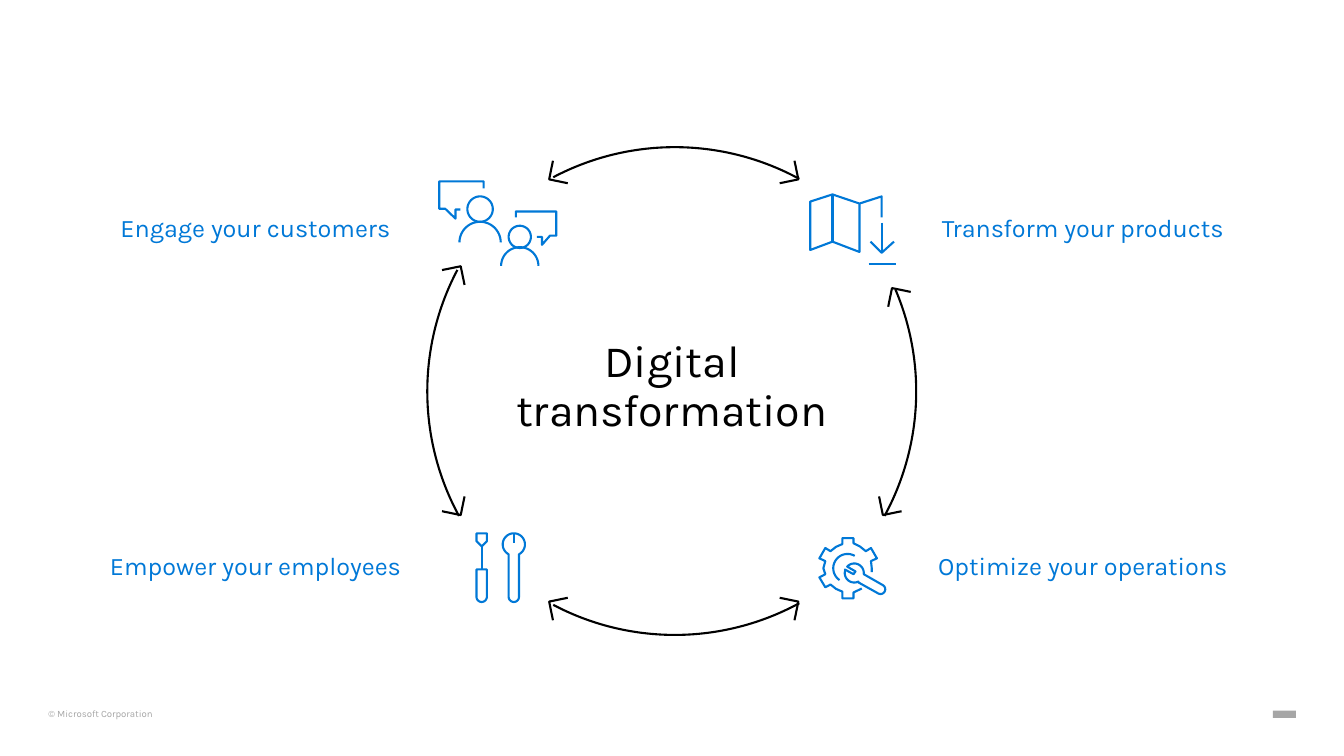
from dataclasses import dataclass
from itertools import chain
from math import cos, radians, sin

from pptx import Presentation
from pptx.dml.color import RGBColor
from pptx.enum.shapes import MSO_SHAPE as Preset
from pptx.enum.text import MSO_ANCHOR as Anchor, MSO_AUTO_SIZE as AutoSize, PP_ALIGN as Align
from pptx.util import Cm, Pt

COLORS = {"black": "000000", "blue": "0078D7", "gray": "A6A6A6"}
FONT = "Karla"
CIRCLE_SIZE = 13.13
WING_LENGTH = 0.48

Point = tuple[float, float]


@dataclass
class Label:
    text: str
    left: float
    top: float


@dataclass
class Head:
    x: float
    y: float
    heading: float


@dataclass
class Arrow:
    left: float
    top: float
    start: float
    end: float
    heads: tuple[Head, Head]


@dataclass
class Stroke:
    points: list[Point]
    closed: bool = False


@dataclass
class Icon:
    left: float
    top: float
    strokes: list[Stroke]


def arc(x: float, y: float, radius: float, start: float, end: float) -> list[Point]:
    """Points along a circle, with angles in degrees clockwise from the right."""
    steps = max(8, round(abs(end - start) / 6))
    angles = [radians(start + (end - start) * step / steps) for step in range(steps + 1)]
    return [(x + radius * cos(angle), y + radius * sin(angle)) for angle in angles]


def person(x: float, head_y: float, head: float, body_y: float, body: float) -> list[Stroke]:
    return [Stroke(arc(x, head_y, head, 0, 360), True),
            Stroke(arc(x, body_y, body, 180, 360))]


LABELS = [
    Label("Engage your customers", 1.83, 5.03),
    Label("Empower your employees", 1.83, 13.54),
    Label("Optimize your operations", 22.68, 13.54),
    Label("Transform your products", 22.68, 5.03),
]

ARROWS = [
    Arrow(10.44, 3.71, 242.2, 298.56, (Head(20.12, 4.52, 33.4), Head(13.84, 4.52, 146.6))),
    Arrow(10.44, 2.87, 61.44, 117.8, (Head(20.12, 15.16, -33.4), Head(13.84, 15.16, 213.4))),
    Arrow(9.96, 3.3, 336.98, 28.56, (Head(22.25, 12.98, 123.4), Head(22.48, 7.26, 236.6))),
    Arrow(10.77, 3.3, 151.44, 207.8, (Head(11.61, 12.98, 56.6), Head(11.61, 6.71, -56.6))),
]

# Icon points are in tenths of a millimetre from the icon's corner.
TOOLS = Icon(12.01, 13.44, [
    Stroke(arc(94, 28, 28, 118, 422) + arc(94, 160, 13, 0, 180), True),
    Stroke([(94, 0), (94, 25)]),
    Stroke([(0, 91), (26, 91)] + arc(13, 160, 13, 0, 180), True),
    Stroke([(0, 0), (26, 0), (26, 20), (13, 33), (0, 20)], True),
    Stroke([(13, 33), (13, 91)]),
])
GEAR = Icon(20.65, 13.56, [
    Stroke([(107, 127), (86, 137), (86, 152), (58, 152), (58, 135), (42, 128), (28, 117),
            (15, 124), (0, 99), (15, 91), (10, 76), (15, 58), (0, 51), (15, 25), (28, 33),
            (42, 22), (58, 15), (58, 0), (86, 0), (86, 13), (102, 21), (117, 33),
            (130, 25), (145, 51), (130, 58), (132, 76), (132, 86)]),
    Stroke(arc(71, 76, 36, -60, -236)),
    Stroke([(99, 112)] + arc(154, 129, 12, 122, -58) + arc(88, 88, 24, 7, -138)
           + [(91, 84), (86, 91), (64, 79)] + arc(88, 88, 24, 200, 65), True),
])
RIGHT_PERSON = Icon(12.62, 5.33, [
    Stroke([(38, 15), (38, 0), (140, 0), (140, 61), (124, 61), (104, 84), (104, 64), (91, 64)]),
    *person(48, 64, 28, 137, 47),
])
LEFT_PERSON = Icon(11.07, 4.57, [
    Stroke([(112, 18), (112, 0), (0, 0), (0, 69), (15, 69), (41, 94), (41, 71), (53, 71)]),
    *person(103, 70, 32, 154, 52),
])
MAP = Icon(20.42, 4.9, [
    Stroke([(56, 0), (56, 119)]),
    Stroke([(180, 71), (180, 142)]),
    Stroke([(152, 119), (180, 147), (211, 119)]),
    Stroke([(180, 58), (180, 5), (124, 23), (56, 0), (0, 18), (0, 140), (56, 119),
            (124, 145), (124, 23)]),
    Stroke([(147, 175), (216, 175)]),
])


def rgb(color: str) -> RGBColor:
    return RGBColor.from_string(COLORS[color])


def outline(shape, color: str) -> None:
    shape.shadow.inherit = False
    shape.fill.background()
    shape.line.color.rgb = rgb(color)
    shape.line.width = Pt(1.5)


def draw_strokes(slide, strokes: list[Stroke], color: str) -> None:
    """Draw strokes given in centimetres as one unfilled outline."""
    builder = None
    for stroke in strokes:
        first, *rest = [(Cm(x), Cm(y)) for x, y in stroke.points]
        if builder is None:
            builder = slide.shapes.build_freeform(*first)
        else:
            builder.move_to(*first)
        builder.add_line_segments(rest, close=stroke.closed)
    outline(builder.convert_to_shape(), color)


def draw_icon(slide, icon: Icon) -> None:
    strokes = [Stroke([(icon.left + x / 100, icon.top + y / 100) for x, y in stroke.points],
                      stroke.closed) for stroke in icon.strokes]
    draw_strokes(slide, strokes, "blue")


def draw_head(slide, head: Head) -> None:
    wings = [(head.x + WING_LENGTH * cos(radians(head.heading + turn)),
              head.y + WING_LENGTH * sin(radians(head.heading + turn))) for turn in (135, 225)]
    draw_strokes(slide, [Stroke([wings[0], (head.x, head.y), wings[1]])], "black")


def draw_arrow(slide, arrow: Arrow) -> None:
    curve = slide.shapes.add_shape(Preset.ARC, Cm(arrow.left), Cm(arrow.top),
                                   Cm(CIRCLE_SIZE), Cm(CIRCLE_SIZE))
    # An adjustment of 0.6 is one degree.
    curve.adjustments[0] = arrow.start * 0.6
    curve.adjustments[1] = arrow.end * 0.6
    outline(curve, "black")
    for head in arrow.heads:
        draw_head(slide, head)


def write(box, text: str, size: float, color: str, align: Align = Align.CENTER,
          insets: Point = (0, 0), wrap: bool = True) -> None:
    frame = box.text_frame
    frame.text = text
    frame.word_wrap = wrap
    frame.auto_size = AutoSize.NONE
    frame.vertical_anchor = Anchor.MIDDLE if wrap else Anchor.TOP
    frame.margin_left = frame.margin_right = Cm(insets[0])
    frame.margin_top = frame.margin_bottom = Cm(insets[1])
    para = frame.paragraphs[0]
    para.alignment = align
    para.line_spacing = 0.9
    for span in para.runs:
        span.font.name = FONT
        span.font.size = Pt(size)
        span.font.color.rgb = rgb(color)


def main() -> None:
    deck = Presentation()
    deck.slide_width, deck.slide_height = Cm(33.87), Cm(19.05)
    page = deck.slides.add_slide(deck.slide_layouts[5])

    title = page.shapes.title
    title.left, title.top, title.width, title.height = Cm(12.34), Cm(8.31), Cm(9.19), Cm(2.9)
    write(title, "Digital\vtransformation", 32, "black")

    footer = page.shapes.add_textbox(Cm(1.22), Cm(17.86), Cm(2.67), Cm(0.25))
    write(footer, "© Microsoft Corporation", 6.9, "gray", Align.LEFT, wrap=False)
    mark = page.shapes.add_shape(Preset.RECTANGLE, Cm(32.08), Cm(17.91), Cm(0.58), Cm(0.18))
    mark.shadow.inherit = False
    mark.fill.solid()
    mark.fill.fore_color.rgb = rgb("gray")
    mark.line.fill.background()

    for label in LABELS:
        box = page.shapes.add_textbox(Cm(label.left), Cm(label.top), Cm(9.22), Cm(1.5))
        write(box, label.text, 18, "blue", insets=(0.51, 0.41))
    for arrow in ARROWS:
        draw_arrow(page, arrow)
    for icon in (TOOLS, GEAR, RIGHT_PERSON, LEFT_PERSON, MAP):
        draw_icon(page, icon)
    deck.save("out.pptx")


if __name__ == "__main__":
    main()
